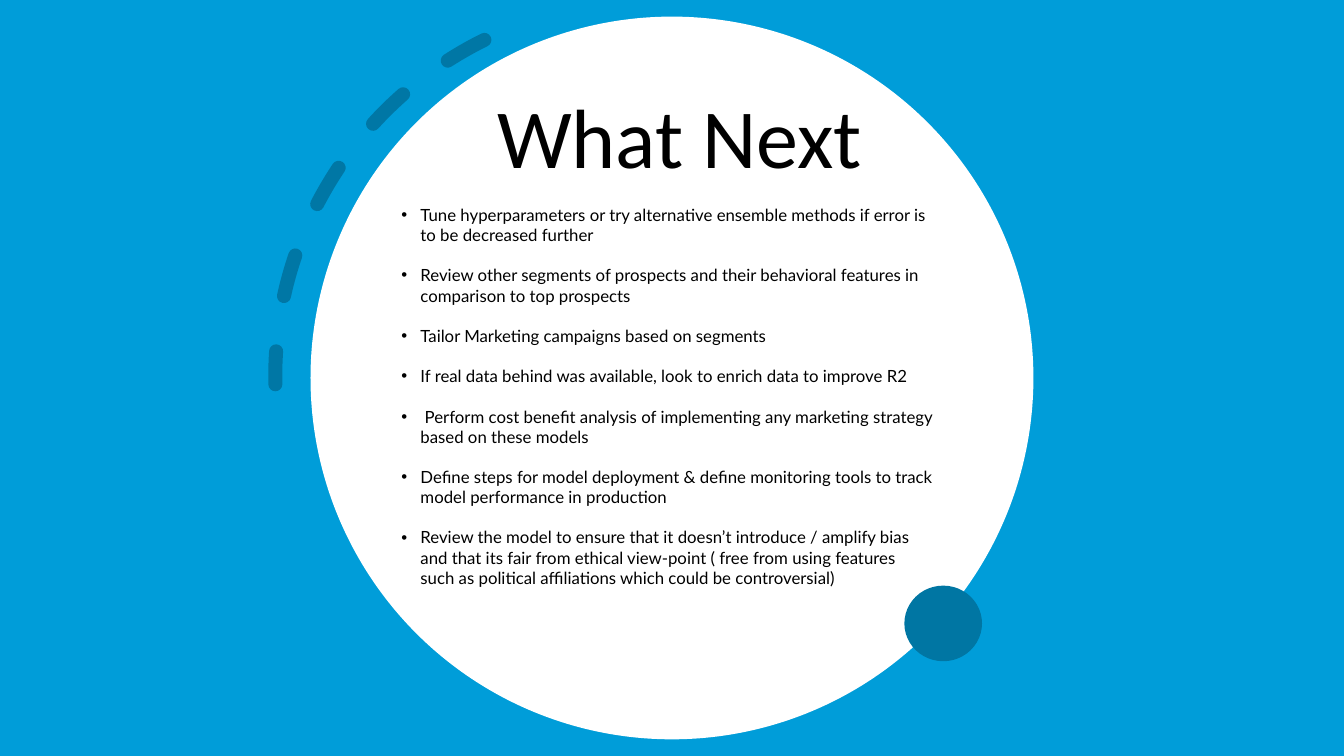
from lxml import etree
from pptx import Presentation
from pptx import util as u
from pptx.dml.color import RGBColor
from pptx.enum import dml, shapes, text
from pptx.oxml.ns import qn

SKY = RGBColor(0x00, 0x9D, 0xD9)
DEEP_BLUE = RGBColor(0x00, 0x76, 0xA3)
WHITE = RGBColor(0xFF, 0xFF, 0xFF)
BLACK = RGBColor(0x00, 0x00, 0x00)

WIDTH, HEIGHT = 13.33, 7.5
DISC = 7.17
RING = 7.45
STEPS = [
    "Tune hyperparameters or try alternative ensemble methods if error is to be decreased further",
    "Review other segments of prospects and their behavioral features in comparison to top prospects",
    "Tailor Marketing campaigns based on segments",
    "If real data behind was available, look to enrich data to improve R2",
    " Perform cost benefit analysis of implementing any marketing strategy based on these models",
    "Define steps for model deployment & define monitoring tools to track model performance in production",
    "Review the model to ensure that it doesn’t introduce / amplify bias and that its fair from "
    "ethical view-point ( free from using features such as political affiliations which could be "
    "controversial)",
]

prs = Presentation()
prs.slide_width, prs.slide_height = u.Inches(WIDTH), u.Inches(HEIGHT)
slide = prs.slides.add_slide(prs.slide_layouts[1])
title, steps = slide.placeholders


def place(shape, left, top, width, height):
    """Move and size a shape, in inches."""
    shape.left, shape.top = u.Inches(left), u.Inches(top)
    shape.width, shape.height = u.Inches(width), u.Inches(height)


# Backdrop, central disc and accent dot
OVAL = shapes.MSO_SHAPE.OVAL
for preset, box, colour in [
    (shapes.MSO_SHAPE.RECTANGLE, (0, 0, WIDTH, HEIGHT), SKY),
    (OVAL, ((WIDTH - DISC) / 2, (HEIGHT - DISC) / 2, DISC, DISC), WHITE),
    (OVAL, (8.97, 5.81, 0.77, 0.75), DEEP_BLUE),
]:
    area = slide.shapes.add_shape(preset, 0, 0, 0, 0)
    place(area, *box)
    area.shadow.inherit = False
    area.fill.solid()
    area.fill.fore_color.rgb = colour
    area.line.fill.background()

# Dashed arc along the upper left of the disc
arc = slide.shapes.add_shape(shapes.MSO_SHAPE.ARC, 0, 0, 0, 0)
place(arc, 2.73, 0.01, RING, RING)
arc.shadow.inherit = False
arc.fill.background()
arc.rotation = 153.7
arc.adjustments[0], arc.adjustments[1] = 162, 200.93
arc.line.width = u.Pt(10)
arc.line.color.rgb = DEEP_BLUE
arc.line.dash_style = dml.MSO_LINE.DASH
arc.element.spPr.find(qn("a:xfrm")).set("flipV", "1")
stroke = arc.element.spPr.find(qn("a:ln"))
stroke.set("cap", "rnd")
etree.SubElement(stroke.find(".//" + qn("a:srgbClr")), qn("a:alpha"), val="95000")

# Title
place(title, 3.7, -0.85, 6.08, 2.75)
title.text_frame.text = "What Next"
title.text_frame.auto_size = text.MSO_AUTO_SIZE.NONE
title.text_frame.vertical_anchor = text.MSO_ANCHOR.BOTTOM
heading = title.text_frame.paragraphs[0]
heading.alignment = text.PP_ALIGN.CENTER
heading.line_spacing = 0.9
heading.font.name, heading.font.size = "Calibri", u.Pt(60)
heading.font.color.rgb = BLACK

# Next steps
place(steps, 3.88, 1.98, 5.48, 4.75)
steps.text_frame.text = "\n".join(STEPS)
steps.text_frame.auto_size = text.MSO_AUTO_SIZE.NONE
steps.text_frame.word_wrap = True
indent = u.Inches(0.19)
for step in steps.text_frame.paragraphs:
    step.space_before, step.space_after = u.Pt(0), u.Pt(14.4)
    step.font.name, step.font.size = "Lato", u.Pt(12)
    step.font.color.rgb = BLACK
    properties = step._p.get_or_add_pPr()
    properties.set("marL", str(indent))
    properties.set("indent", str(-indent))

# Bring the text in front of the artwork
for holder in (title, steps):
    slide.shapes.element.append(holder.element)

prs.save("out.pptx")
